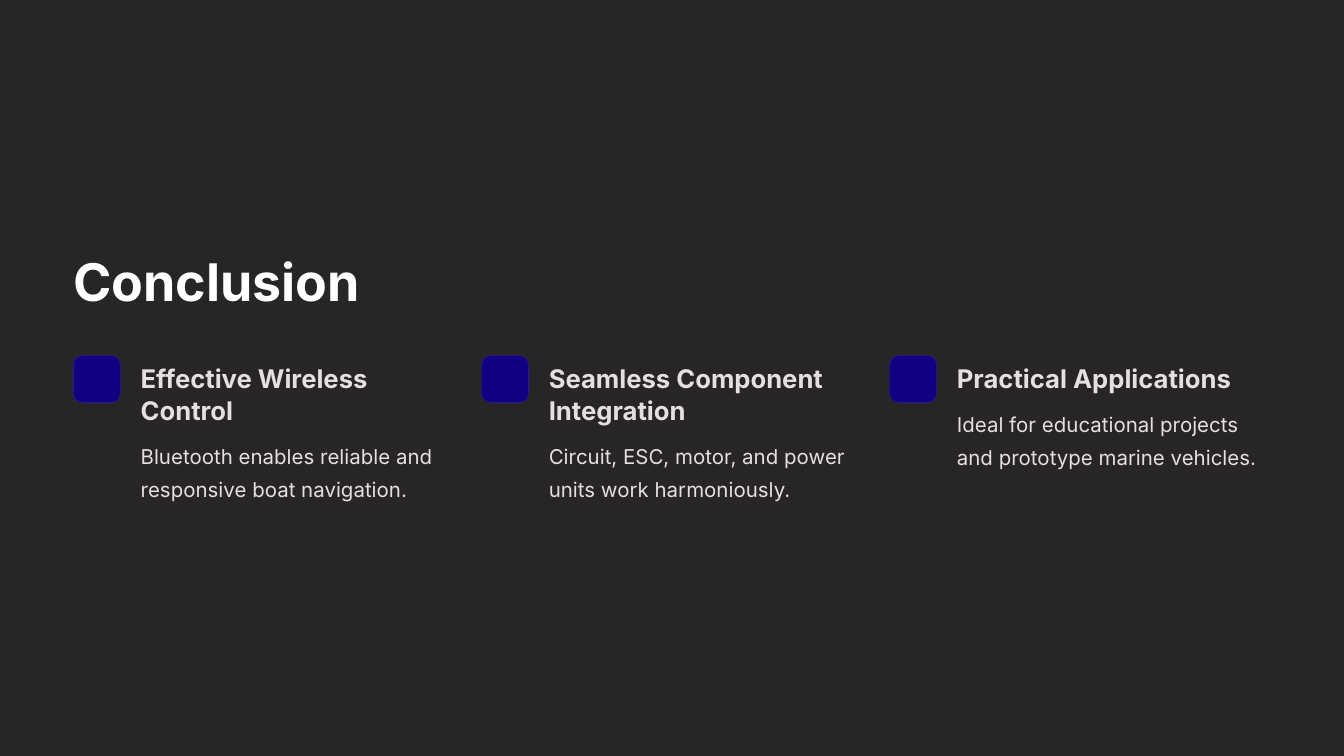
from dataclasses import dataclass

from pptx import Presentation
from pptx.dml.color import RGBColor
from pptx.enum import shapes, text
from pptx.util import Pt

PX = 9525  # EMU per px, 96 px to the inch


@dataclass(frozen=True)
class Theme:
    background: str = "272525"
    marker: str = "110080"
    marker_edge: str = "2A1999"
    title = dict(size=55.6, leading=69.4, color="FFFFFF", bold=True)
    heading = dict(size=27.5, leading=34.4, color="E5E0DF", bold=True)
    body = dict(size=21.9, leading=35.6, color="E5E0DF", bold=False)
    font: str = "Inter"


THEME = Theme()

# Heading, its number of lines, body
TAKEAWAYS = [
    ("Effective Wireless Control", 2,
     "Bluetooth enables reliable and responsive boat navigation."),
    ("Seamless Component Integration", 2,
     "Circuit, ESC, motor, and power units work harmoniously."),
    ("Practical Applications", 1,
     "Ideal for educational projects and prototype marine vehicles."),
]


def emu(*lengths):
    return [length * PX for length in lengths]


def add_text(slide, box, words, style):
    frame = slide.shapes.add_textbox(*emu(*box)).text_frame
    settings = dict(word_wrap=True, vertical_anchor=text.MSO_ANCHOR.TOP,
                    margin_left=0, margin_top=0, margin_right=0, margin_bottom=0)
    for name, value in settings.items():
        setattr(frame, name, value)
    paragraph = frame.paragraphs[0]
    paragraph.line_spacing = Pt(style["leading"])
    run = paragraph.add_run()
    run.text = words
    for name, value in dict(name=THEME.font, size=Pt(style["size"]),
                            bold=style["bold"]).items():
        setattr(run.font, name, value)
    run.font.color.rgb = RGBColor.from_string(style["color"])


def add_marker(slide, left, top, side):
    marker = slide.shapes.add_shape(
        shapes.MSO_SHAPE.ROUNDED_RECTANGLE, *emu(left, top, side, side))
    marker.adjustments[0] = 0.19
    marker.shadow.inherit = False
    marker.fill.solid()
    marker.fill.fore_color.rgb = RGBColor.from_string(THEME.marker)
    marker.line.color.rgb = RGBColor.from_string(THEME.marker_edge)
    marker.line.width = Pt(0.6)


def add_takeaway(slide, left, top, width, takeaway):
    heading, line_count, body = takeaway
    indent, line_height = 96, 46
    text_left, text_width = left + indent, width - indent
    heading_height = line_count * line_height + 2

    add_marker(slide, left, top, 67)
    add_text(slide, (text_left, top + 8, text_width, heading_height),
             heading, THEME.heading)
    # The body follows the heading, however many lines that takes
    add_text(slide, (text_left, top + heading_height + 20, text_width, 102),
             body, THEME.body)


def add_conclusion(slide, left, top, width):
    gap = 38
    column = (width - gap * (len(TAKEAWAYS) - 1)) // len(TAKEAWAYS)

    # Title
    add_text(slide, (left, top, 744, 95), "Conclusion", THEME.title)

    # Row of takeaways
    for index, takeaway in enumerate(TAKEAWAYS):
        add_takeaway(slide, left + index * (column + gap), top + 155,
                     column, takeaway)


def main():
    deck = Presentation()
    deck.slide_width, deck.slide_height = emu(1920, 1080)
    slide = deck.slides.add_slide(deck.slide_layouts[6])
    slide.background.fill.solid()
    slide.background.fill.fore_color.rgb = RGBColor.from_string(THEME.background)
    add_conclusion(slide, 105, 353, 1711)
    deck.save("out.pptx")


if __name__ == "__main__":
    main()
